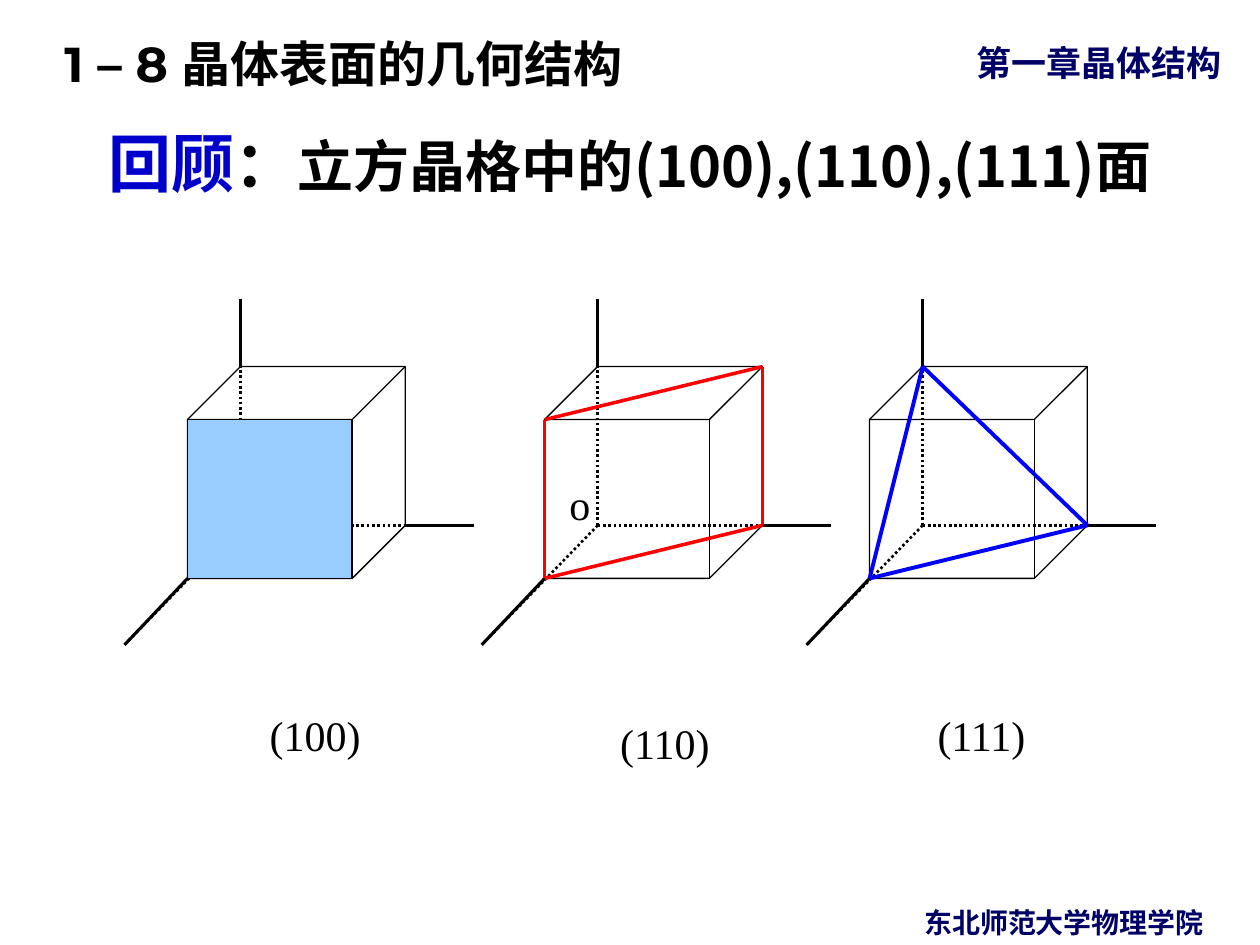
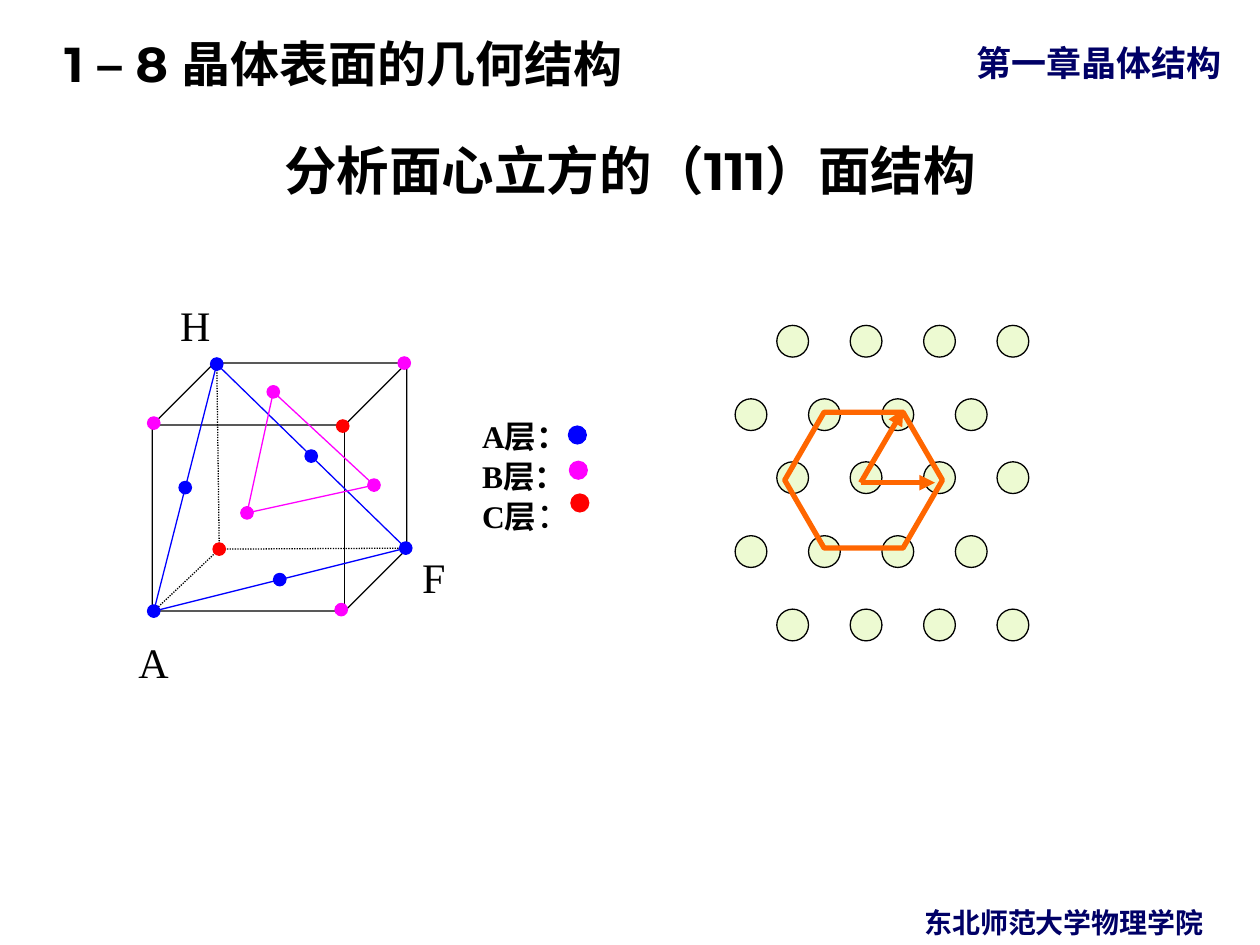
from itertools import combinations

from lxml import etree
from pptx import Presentation
from pptx import util as u
from pptx.dml.color import RGBColor
from pptx.enum import dml, shapes, text
from pptx.oxml.ns import qn

BLACK, NAVY, RED, BLUE = "000000", "000066", "FF0000", "0000FF"
MAGENTA, ORANGE, TITLE_BLUE = "FF00FF", "FF6600", "0000CC"
CJK, LATIN, SERIF = "Noto Sans CJK SC", "Montserrat", "Times New Roman"
CENTER, LEFT = text.PP_ALIGN.CENTER, text.PP_ALIGN.LEFT
SHAPE = shapes.MSO_SHAPE


def draw(s, kind, box, color=BLACK, width=0.75, fill=None, dotted=False, arrow=False):
    """Draw a preset shape in a box, or a line from (x1, y1) to (x2, y2) if kind is None."""
    box = [u.Cm(v) for v in box]
    if kind is None:
        sp = s.shapes.add_connector(shapes.MSO_CONNECTOR.STRAIGHT, *box)
    else:
        sp = s.shapes.add_shape(kind, *box)
        sp.shadow.inherit = False
        if fill:
            sp.fill.solid()
            sp.fill.fore_color.rgb = RGBColor.from_string(fill)
        else:
            sp.fill.background()
    sp.line.color.rgb = RGBColor.from_string(color)
    sp.line.width = u.Pt(width)
    if dotted:
        sp.line.dash_style = dml.MSO_LINE.ROUND_DOT
    if kind is None:
        if arrow:
            etree.SubElement(sp.line._get_or_add_ln(), qn("a:tailEnd"), type="triangle")
        etree.SubElement(sp._element.spPr, qn("a:effectLst"))
    return sp


def write(sp, box, paragraphs, align=CENTER, spacing=None, anchor=text.MSO_ANCHOR.TOP):
    """Place sp and fill it with paragraphs, each a list of (text, size, font, colour, bold)."""
    for name, value in zip(("left", "top", "width", "height"), box):
        setattr(sp, name, u.Cm(value))
    tf = sp.text_frame
    frame = {"word_wrap": True, "auto_size": text.MSO_AUTO_SIZE.NONE, "vertical_anchor": anchor}
    for name, value in frame.items():
        setattr(tf, name, value)
    for i, runs in enumerate(paragraphs):
        p = tf.add_paragraph() if i else tf.paragraphs[0]
        p.alignment = align
        p.space_before = u.Pt(0)
        if spacing:
            p.line_spacing = spacing
        for words, size, font, color, bold in runs:
            r = p.add_run()
            r.text = words
            for name, value in {"size": u.Pt(size), "name": font, "bold": bold}.items():
                setattr(r.font, name, value)
            r.font.color.rgb = RGBColor.from_string(color)
            etree.SubElement(r._r.get_or_add_rPr(), qn("a:ea"), typeface=CJK)
    return tf


prs = Presentation()
prs.slide_width, prs.slide_height = u.Cm(25.4), u.Cm(19.05)
layout = prs.slide_layouts[5]
slides = [prs.slides.add_slide(layout) for _ in range(2)]

# Shared header and footer, moved to the layout
for box, run, align, spacing, inset in [
    ((18.9, 0.71, 6.5, 1.09), ("第一章晶体结构", 20, CJK, NAVY, True), CENTER, None, 0.25),
    ((0, 0.3, 20.75, 1.63), ("1 – 8 晶体表面的几何结构", 28, LATIN, BLACK, True), LEFT, 1.25, 1.3),
    ((17.5, 18.14, 7.9, 0.91), ("东北师范大学物理学院", 16, CJK, NAVY, True), CENTER, None, 0.25),
]:
    sp = slides[0].shapes.add_textbox(0, 0, 0, 0)
    anchor = text.MSO_ANCHOR.MIDDLE if spacing else text.MSO_ANCHOR.TOP
    tf = write(sp, box, [[run]], align, spacing, anchor)
    tf.margin_left = u.Cm(inset)
    layout.shapes._spTree.append(sp._element)

# Slide titles
titles = [
    [("回顾", 36, CJK, TITLE_BLUE, True), ("：", 36, CJK, BLACK, True),
     ("立方晶格中的(100),(110),(111)面", 32, CJK, BLACK, True)],
    [("分析面心立方的（111）面结构", 30, LATIN, BLACK, True)],
]
for s, runs in zip(slides, titles):
    write(s.shapes.title, (1.27, 2.31, 22.86, 1.88), [runs], CENTER, 0.9, text.MSO_ANCHOR.BOTTOM)

# Slide 1: three cubes with axes, each with one lattice plane
s = slides[0]
cube_top, cube_w, cube_h, depth = 7.39, 4.39, 4.27, 1.07
back_h = cube_h - depth
origin = (depth, back_h)
axis_x, axis_y, axis_z = (5.77, back_h), (-1.27, 5.61), (depth, -1.37)
front_top, front_bottom = (0, depth), (0, cube_h)
back_top, back_bottom = (cube_w, 0), (cube_w, back_h)
back_left = (depth, 0)
axes = [
    (origin, axis_z, 1.5, True), (origin, axis_x, 1.5, True), (origin, axis_y, 1.5, True),
    (front_bottom, axis_y, 1.75, False), (back_bottom, axis_x, 1.5, False),
    (back_left, axis_z, 1.5, False),
]
planes = [
    (3.78, [], BLACK, 0.75),
    (10.98, [front_top, back_top, back_bottom, front_bottom], RED, 2),
    (17.53, [back_left, back_bottom, front_bottom], BLUE, 2.25),
]
for cube_left, corners, color, width in planes:
    draw(s, SHAPE.CUBE, (cube_left, cube_top, cube_w, cube_h))
    edges = list(zip(corners, corners[1:] + corners[:1]))
    strokes = [(a, b, BLACK, w, dotted) for a, b, w, dotted in axes]
    strokes += [(a, b, color, width, False) for a, b in edges]
    for (x1, y1), (x2, y2), line_color, w, dotted in strokes:
        ends = (cube_left + x1, cube_top + y1, cube_left + x2, cube_top + y2)
        draw(s, None, ends, line_color, w, dotted=dotted)
    if not corners:
        face = (cube_left, cube_top + depth, cube_w - depth, back_h)
        draw(s, SHAPE.RECTANGLE, face, fill="99CCFF")

# Labels of both slides
for s, words, box, align in [
    (slides[0], "(100)", (4.45, 14.17, 3.81, 1.27), CENTER),
    (slides[0], "(110)", (11.4, 14.33, 4.01, 1.27), CENTER),
    (slides[0], "(111)", (17.98, 14.17, 3.61, 1.27), CENTER),
    (slides[0], "o", (11.23, 9.53, 1.27, 1.27), LEFT),
    (slides[1], "A", (2.54, 12.7, 1.07, 1.27), LEFT),
    (slides[1], "F", (8.26, 11, 1.07, 1.27), LEFT),
    (slides[1], "H", (3.38, 5.92, 1.07, 1.27), LEFT),
]:
    sp = s.shapes.add_textbox(0, 0, 0, 0)
    write(sp, box, [[(words, 24, SERIF, BLACK, False)]], align)

# Slide 2: face-centred cube with its atom layers
s = slides[1]
A, F, H, O = (3.1, 12.32), (8.18, 11.05), (4.37, 7.34), (4.42, 11.07)
layer_b = [(5.51, 7.9), (7.54, 9.78), (4.98, 10.34)]
draw(s, SHAPE.CUBE, (3.07, 7.32, 5.13, 5))
for corner in (H, F, A):
    draw(s, None, O + corner, dotted=True)
for triangle, color in [((A, F, H), BLUE), (layer_b, MAGENTA)]:
    for start, end in combinations(triangle, 2):
        draw(s, None, start + end, color)

middles = [((a[0] + b[0]) / 2, (a[1] + b[1]) / 2) for a, b in combinations((A, F, H), 2)]
atoms = {
    MAGENTA: layer_b + [(3.1, 8.53), (8.15, 7.32), (6.88, 12.29)],
    RED: [O, (6.91, 8.59)],
    BLUE: [A, F, H] + middles,
}
atom = 0.25
for color, centers in atoms.items():
    for x, y in centers:
        draw(s, SHAPE.OVAL, (x - atom / 2, y - atom / 2, atom, atom), color, fill=color)

# Legend of the layers
legend = [[(f"{layer}层：", 18, SERIF, BLACK, True)] for layer in "AB"]
legend.append([("C层", 18, SERIF, BLACK, True), ("：", 20, SERIF, BLACK, False)])
sp = s.shapes.add_textbox(0, 0, 0, 0)
write(sp, (9.47, 8.23, 3.66, 3.78), legend, text.PP_ALIGN.JUSTIFY, u.Pt(23))
for x, y, color in [(11.46, 8.59, BLUE), (11.48, 9.3, MAGENTA), (11.51, 9.96, RED)]:
    draw(s, SHAPE.OVAL, (x, y, 0.36, 0.36), color, fill=color)

# Atoms of the (111) plane, every other row shifted to the left
for row, y in enumerate((6.56, 8.04, 9.31, 10.8, 12.28)):
    row_left = 14.82 if row % 2 else 15.66
    for col in range(4):
        draw(s, SHAPE.OVAL, (row_left + col * 1.48, y, 0.64, 0.64), fill="EDFAD2")

# Hexagonal cell and its basis vectors
hexagon = draw(s, SHAPE.HEXAGON, (15.82, 8.31, 3.18, 2.74), ORANGE, 3)
hexagon.adjustments[0] = 0.29
for tip in [(18.21, 8.26), (18.85, 9.73)]:
    draw(s, None, (17.35, 9.73) + tip, ORANGE, 3, arrow=True)

prs.save("out.pptx")
